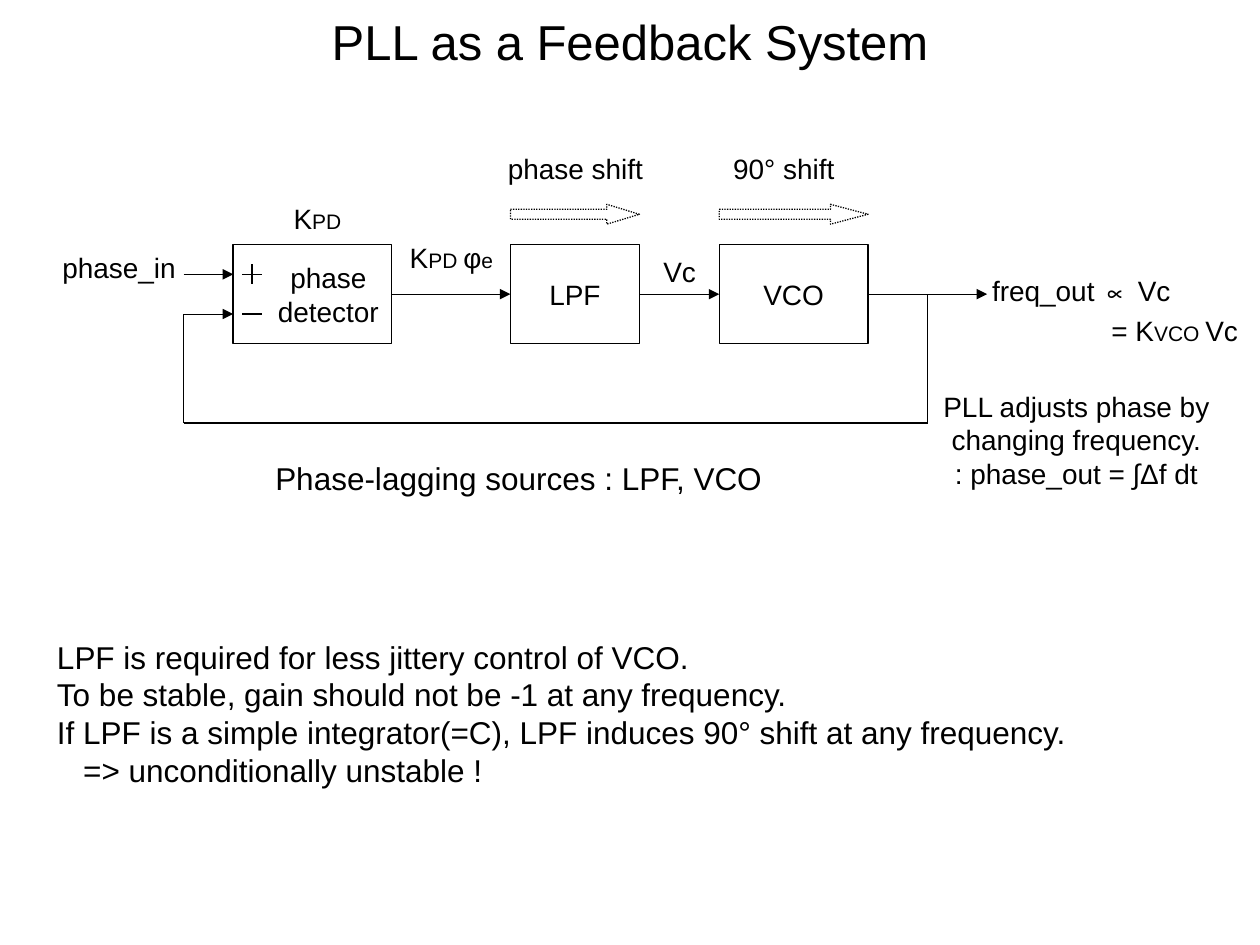
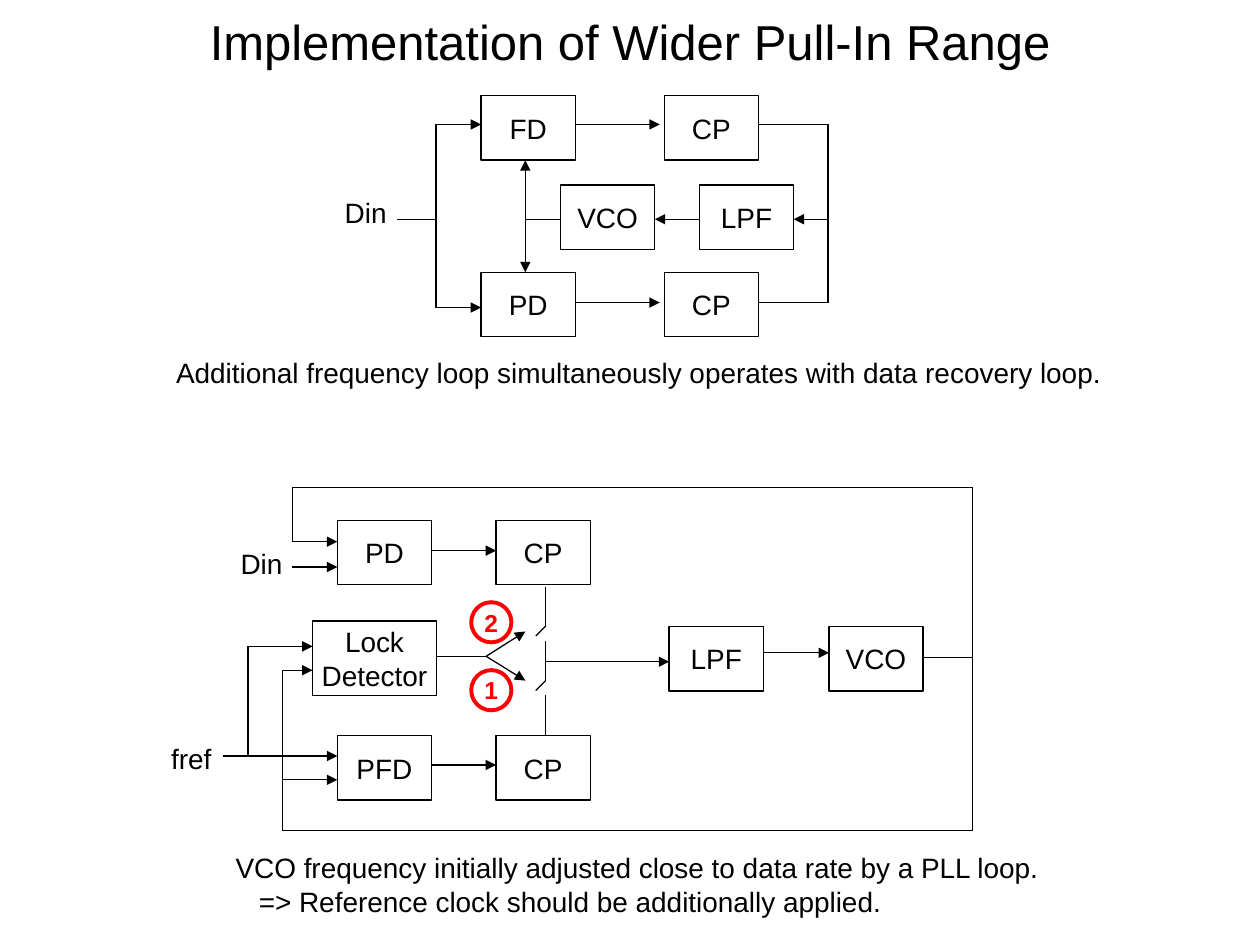
"""Build two slides of block diagrams on phase-locked loops."""
from lxml.etree import SubElement
from pptx import Presentation
from pptx.dml.color import RGBColor
from pptx.enum.dml import MSO_LINE
from pptx.enum.shapes import MSO_CONNECTOR, MSO_SHAPE
from pptx.enum.text import MSO_ANCHOR, PP_ALIGN
from pptx.oxml.ns import qn
from pptx.util import Cm, Pt

BLACK = RGBColor(0, 0, 0)
RED = RGBColor(255, 0, 0)
FONT = "Arial"
TITLE_SIZE, NOTE_SIZE, LABEL_SIZE, SUB_SIZE, MARK_SIZE = 28, 18, 16, 12, 14
WIRE, THIN, RING = 0.75, 0.25, 2.25
BLOCK_W, BLOCK_H = 1.9, 1.3
MARK_D = 0.81
LEFT, CENTER = PP_ALIGN.LEFT, PP_ALIGN.CENTER

FEEDBACK = {
    "title": "PLL as a Feedback System",
    "blocks": [
        (4.7, 4.93, 3.2, 2.0, ["phase", "detector"], 0.64),
        (10.29, 4.93, 2.6, 2.0, ["LPF"]),
        (14.5, 4.93, 3.0, 2.0, ["VCO"]),
    ],
    "shifts": [(10.29, 2.6, 1.64), (14.5, 3.0, 1.89)],
    "signals": [
        [(3.7, 5.53), (4.7, 5.53)],
        [(3.7, 6.33), (4.7, 6.33)],
        [(7.9, 5.93), (10.29, 5.93)],
        [(12.89, 5.93), (14.5, 5.93)],
        [(17.5, 5.93), (19.9, 5.93)],
    ],
    "wires": [
        [(18.7, 5.93), (18.7, 8.53), (3.7, 8.53), (3.7, 6.33)],
        [(4.88, 5.53), (5.28, 5.53)],
        [(5.08, 5.33), (5.08, 5.73)],
        [(4.88, 6.33), (5.28, 6.33)],
    ],
    "labels": [
        (0.9, 4.93, 3.0, ["phase_in"], CENTER),
        (12.9, 5.0, 1.6, ["Vc"], CENTER),
        (19.5, 5.39, 4.6, ["freq_out ∝ Vc"], CENTER),
        (21.98, 6.2, 3.4, [[("= K", LABEL_SIZE), ("VCO ", SUB_SIZE), ("Vc", LABEL_SIZE)]], CENTER),
        (14.3, 2.93, 3.0, ["90° shift"], CENTER),
        (9.9, 2.93, 3.4, ["phase shift"], CENTER),
        (5.5, 3.93, 1.8, [[("K", LABEL_SIZE), ("PD", SUB_SIZE)]], CENTER),
        (7.5, 4.73, 3.2, [[("K", LABEL_SIZE), ("PD ", SUB_SIZE),
                           ("φ", LABEL_SIZE), ("e", SUB_SIZE)]], CENTER),
        (18.3, 7.72, 6.8, ["PLL adjusts phase by changing frequency.",
                           ": phase_out = ∫Δf dt"], CENTER),
    ],
    "notes": [
        (5.3, 9.12, 12.4, ["Phase-lagging sources : LPF, VCO"], LEFT),
        (0.9, 12.73, 23.8, [
            "LPF is required for less jittery control of VCO.",
            "To be stable, gain should not be -1 at any frequency.",
            "If LPF is a simple integrator(=C), LPF induces 90° shift at any frequency.",
            "=> unconditionally unstable !",
        ], LEFT),
    ],
}

PULL_IN = {
    "title": "Implementation of Wider Pull-In Range",
    "blocks": [
        (9.7, 1.93, BLOCK_W, BLOCK_H, ["FD"]),
        (13.39, 1.93, BLOCK_W, BLOCK_H, ["CP"]),
        (11.3, 3.73, BLOCK_W, BLOCK_H, ["VCO"]),
        (14.1, 3.73, BLOCK_W, BLOCK_H, ["LPF"]),
        (9.7, 5.49, BLOCK_W, BLOCK_H, ["PD"]),
        (13.39, 5.49, BLOCK_W, BLOCK_H, ["CP"]),
        (6.8, 10.49, BLOCK_W, BLOCK_H, ["PD"]),
        (10.0, 10.49, BLOCK_W, BLOCK_H, ["CP"]),
        (6.3, 12.52, 2.5, 1.5, ["Lock", "Detector"]),
        (13.49, 12.63, BLOCK_W, BLOCK_H, ["LPF"]),
        (16.71, 12.63, BLOCK_W, BLOCK_H, ["VCO"]),
        (6.8, 14.83, BLOCK_W, BLOCK_H, ["PFD"]),
        (10.0, 14.83, BLOCK_W, BLOCK_H, ["CP"]),
    ],
    "arrows": [
        [(8.79, 4.42), (8.79, 2.51), (9.7, 2.51)],
        [(8.0, 4.42), (8.79, 4.42), (8.79, 6.2), (9.7, 6.2)],
        [(11.6, 2.51), (13.3, 2.51)],
        [(11.6, 6.1), (13.3, 6.1)],
        [(16.69, 4.42), (16.0, 4.42)],
        [(14.1, 4.42), (13.2, 4.42)],
        [(19.61, 13.26), (19.61, 9.83), (5.89, 9.83), (5.89, 10.92), (6.8, 10.92)],
        [(18.6, 13.26), (19.61, 13.26), (19.61, 16.74), (5.69, 16.74),
         (5.69, 13.51), (6.3, 13.51)],
        [(5.69, 15.72), (6.8, 15.72)],
        [(5.89, 11.43), (6.8, 11.43)],
        [(8.7, 11.1), (10.0, 11.1)],
        [(4.5, 15.24), (6.8, 15.24)],
        [(5.0, 15.24), (5.0, 13.03), (6.3, 13.03)],
        [(8.7, 15.42), (10.0, 15.42)],
        [(11.0, 13.34), (13.49, 13.34)],
        [(15.39, 13.16), (16.71, 13.16)],
        [(8.8, 13.23), (9.8, 13.23), (10.59, 12.73)],
        [(9.8, 13.23), (10.59, 13.72)],
    ],
    "two_way": [[(10.59, 3.23), (10.59, 5.49)]],
    "wires": [
        [(11.3, 4.42), (10.59, 4.42)],
        [(15.29, 2.51), (16.69, 2.51), (16.69, 6.1), (15.29, 6.1)],
        [(11.0, 11.84), (11.0, 12.62), (10.8, 12.82)],
        [(11.0, 12.93), (11.0, 13.72), (10.8, 13.92)],
        [(11.0, 14.02), (11.0, 14.83)],
    ],
    "marks": [(9.5, 13.51, "1"), (9.5, 12.14, "2")],
    "labels": [
        (6.7, 3.81, 1.4, ["Din"], LEFT),
        (4.6, 10.9, 1.4, ["Din"], LEFT),
        (3.2, 14.83, 1.4, ["fref"], LEFT),
        (3.3, 7.04, 19.7,
         ["Additional frequency loop simultaneously operates with data recovery loop."], LEFT),
        (4.5, 17.02, 17.2,
         ["VCO frequency initially adjusted close to data rate by a PLL loop.",
          "=> Reference clock should be additionally applied."], LEFT),
    ],
}


def write(frame, lines, size, align, color=BLACK, bold=False):
    frame.word_wrap = True
    for number, line in enumerate(lines):
        paragraph = frame.add_paragraph() if number else frame.paragraphs[0]
        paragraph.alignment = align
        runs = [(line, size)] if isinstance(line, str) else line
        if runs[0][0].startswith("=>"):
            paragraph._p.get_or_add_pPr().set("marL", str(Pt(size * 0.83)))
        for words, points in runs:
            run = paragraph.add_run()
            run.text = words
            run.font.name, run.font.size = FONT, Pt(points)
            run.font.bold, run.font.color.rgb = bold, color


def add_label(slide, left, top, width, lines, align, size=LABEL_SIZE):
    height = 0.25 + len(lines) * size * 0.042
    label = slide.shapes.add_textbox(Cm(left), Cm(top), Cm(width), Cm(height))
    write(label.text_frame, lines, size, align)


def add_outline(slide, kind, left, top, width, height, color=BLACK, weight=WIRE):
    outline = slide.shapes.add_shape(kind, Cm(left), Cm(top), Cm(width), Cm(height))
    outline.shadow.inherit = False
    outline.fill.background()
    outline.line.color.rgb = color
    outline.line.width = Pt(weight)
    frame = outline.text_frame
    frame.margin_left = frame.margin_right = frame.margin_top = frame.margin_bottom = 0
    frame.vertical_anchor = MSO_ANCHOR.MIDDLE
    return outline


def add_block(slide, left, top, width, height, lines, inset=0):
    frame = add_outline(slide, MSO_SHAPE.RECTANGLE, left, top, width, height).text_frame
    frame.margin_left = Cm(inset)
    write(frame, lines, LABEL_SIZE, CENTER)


def add_shift(slide, left, width, head_length):
    arrow = add_outline(slide, MSO_SHAPE.RIGHT_ARROW, left, 4.12, width, 0.4)
    arrow.adjustments[1] = head_length
    arrow.line.dash_style = MSO_LINE.ROUND_DOT


def add_mark(slide, left, top, digit):
    ring = add_outline(slide, MSO_SHAPE.OVAL, left, top, MARK_D, MARK_D, RED, RING)
    write(ring.text_frame, [digit], MARK_SIZE, CENTER, RED, True)


def add_wire(slide, points, weight=WIRE, ends=()):
    for start, end in zip(points, points[1:]):
        wire = slide.shapes.add_connector(MSO_CONNECTOR.STRAIGHT, *map(Cm, start + end))
        wire.line.color.rgb = BLACK
        wire.line.width = Pt(weight)
        if end == points[-1]:
            for tip in ends:
                SubElement(wire.line._get_or_add_ln(), qn(f"a:{tip}"), type="triangle")
        SubElement(wire._element.spPr, qn("a:effectLst"))


def add_diagram(deck, diagram):
    slide = deck.slides.add_slide(deck.slide_layouts[6])
    add_label(slide, 0, 0.1, 25.4, [diagram["title"]], CENTER, TITLE_SIZE)
    for block in diagram["blocks"]:
        add_block(slide, *block)
    for shift in diagram.get("shifts", []):
        add_shift(slide, *shift)
    for kind, weight, ends in (
        ("signals", THIN, ["tailEnd"]),
        ("arrows", WIRE, ["tailEnd"]),
        ("two_way", WIRE, ["headEnd", "tailEnd"]),
        ("wires", WIRE, []),
    ):
        for points in diagram.get(kind, []):
            add_wire(slide, points, weight, ends)
    for mark in diagram.get("marks", []):
        add_mark(slide, *mark)
    for label in diagram["labels"]:
        add_label(slide, *label)
    for note in diagram.get("notes", []):
        add_label(slide, *note, NOTE_SIZE)


def main():
    deck = Presentation()
    deck.slide_width, deck.slide_height = Cm(25.4), Cm(19.05)
    for diagram in (FEEDBACK, PULL_IN):
        add_diagram(deck, diagram)
    deck.save("out.pptx")


if __name__ == "__main__":
    main()
